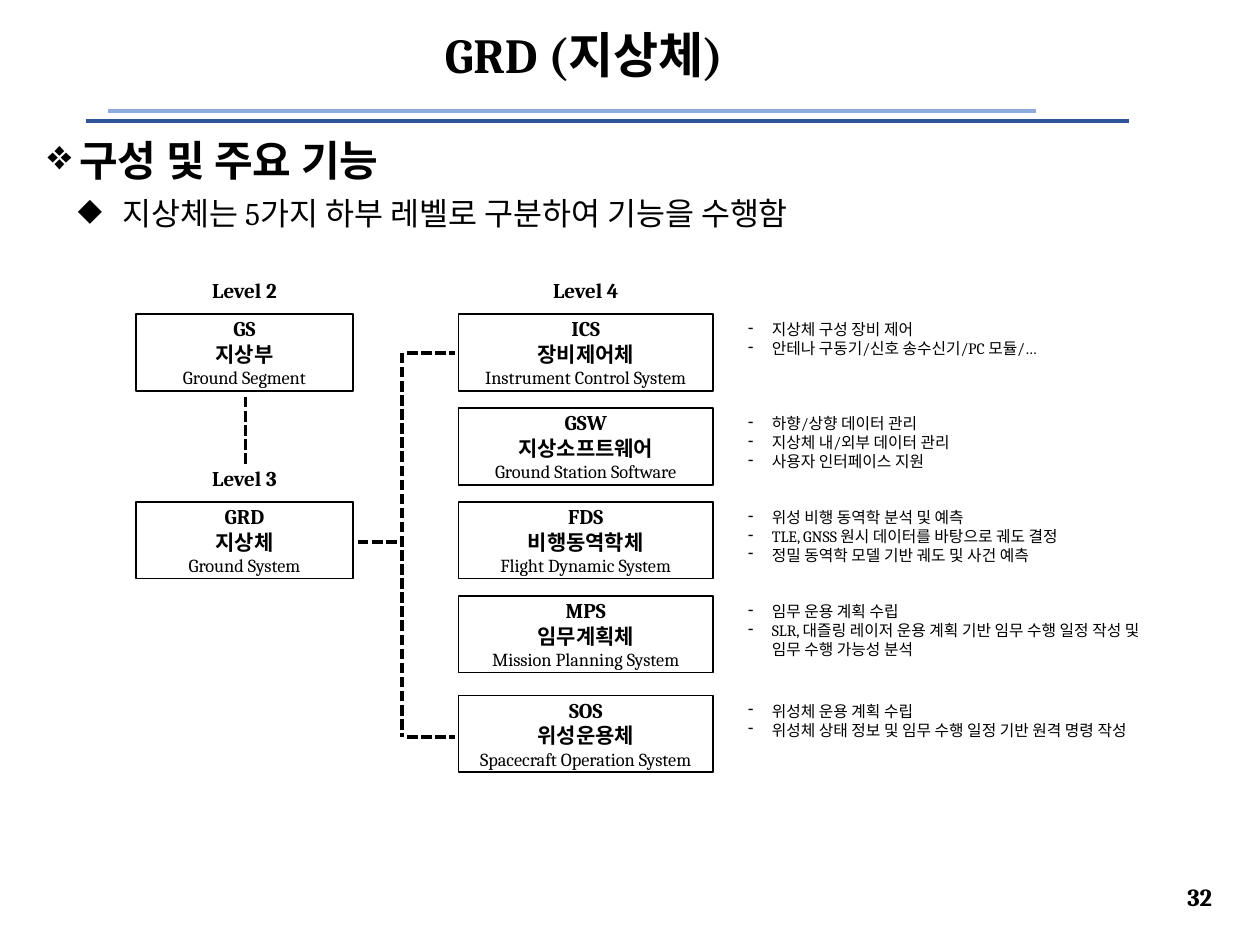
from lxml import etree
from pptx import Presentation
from pptx.dml.color import RGBColor
from pptx.enum.dml import MSO_LINE
from pptx.enum.shapes import MSO_CONNECTOR, MSO_SHAPE
from pptx.enum.text import MSO_ANCHOR, PP_ALIGN
from pptx.oxml.ns import qn
from pptx.util import Pt

BLACK = RGBColor(0x00, 0x00, 0x00)
WHITE = RGBColor(0xFF, 0xFF, 0xFF)
DARK_BLUE = RGBColor(0x2F, 0x55, 0x97)
LIGHT_BLUE = RGBColor(0x8F, 0xAA, 0xDC)
LEFT, CENTER, RIGHT = PP_ALIGN.LEFT, PP_ALIGN.CENTER, PP_ALIGN.RIGHT
TOP, MIDDLE = MSO_ANCHOR.TOP, MSO_ANCHOR.MIDDLE
STRAIGHT = MSO_CONNECTOR.STRAIGHT
DASH = MSO_LINE.SQUARE_DOT

prs = Presentation()
prs.slide_width, prs.slide_height = Pt(720), Pt(540)
slide = prs.slides.add_slide(prs.slide_layouts[6])
shapes = slide.shapes


def write(shape, lines, align=LEFT, anchor=TOP):
    """Fill a shape with lines of (text, size, bold[, bullet, margin, indent])."""
    frame = shape.text_frame
    frame.word_wrap = True
    frame.vertical_anchor = anchor
    for i, (text, size, bold, *bullet) in enumerate(lines):
        paragraph = frame.paragraphs[0] if i == 0 else frame.add_paragraph()
        paragraph.text = text
        paragraph.alignment = align
        if bullet:
            mark, margin, indent = bullet
            props = paragraph._p.get_or_add_pPr()
            props.set("marL", str(Pt(margin)))
            props.set("indent", str(Pt(indent)))
            etree.SubElement(props, qn("a:buChar")).set("char", mark)
        paragraph.font.name = "Cambria"
        paragraph.font.size = Pt(size)
        paragraph.font.bold = bold
        paragraph.font.color.rgb = BLACK
    return frame


def rule(x1, y1, x2, y2, color, width, dash=None):
    line = shapes.add_connector(STRAIGHT, Pt(x1), Pt(y1), Pt(x2), Pt(y2))
    line.line.color.rgb = color
    line.line.width = Pt(width)
    if dash:
        line.line.dash_style = dash
    etree.SubElement(line._element.spPr, qn("a:effectLst"))


# Double rule under the title
rule(49, 69.1, 645, 69.1, DARK_BLUE, 2.25)
rule(61.5, 63.4, 591.8, 63.4, LIGHT_BLUE, 2.25)

# Page number, title and heading
page_number = shapes.add_textbox(Pt(622.8), Pt(498.2), Pt(77), Pt(28))
write(page_number, [("32", 14, True)], RIGHT, MIDDLE)

title = shapes.add_textbox(Pt(69.8), Pt(5.8), Pt(527.8), Pt(54))
write(title, [("GRD (지상체)", 28, True)], CENTER, MIDDLE).paragraphs[0].line_spacing = 0.9

heading = shapes.add_textbox(Pt(20.2), Pt(73.4), Pt(679.7), Pt(423.4))
heading_text = write(heading, [
    ("구성 및 주요 기능", 24, True, "❖", 18, -28),
    ("지상체는 5가지 하부 레벨로 구분하여 기능을 수행함", 18, False, "◆", 42.5, -25.2),
])
heading_text.paragraphs[1].space_before = Pt(5)

# Diagram grid: rows are the tops of the boxes
ROWS = [179.3, 233, 286.7, 340.4, 397.4]
BOX_HEIGHT = 44
SEGMENT_LEFT, SEGMENT_WIDTH = 77.8, 123.8
SUBSYSTEM_LEFT, SUBSYSTEM_WIDTH = 262, 145.4
NOTES_LEFT = 420.5

# Level labels, a fixed distance above their boxes
for level, left, top in [("Level 2", SEGMENT_LEFT, ROWS[0]),
                         ("Level 3", SEGMENT_LEFT, ROWS[2]),
                         ("Level 4", 272.9, ROWS[0])]:
    label = shapes.add_textbox(Pt(left), Pt(top - 35.3), Pt(SEGMENT_WIDTH), Pt(BOX_HEIGHT))
    write(label, [(level, 12, True)], CENTER, MIDDLE)

# System boxes: column, row, abbreviation, Korean name, English name
segment = (SEGMENT_LEFT, SEGMENT_WIDTH)
subsystem = (SUBSYSTEM_LEFT, SUBSYSTEM_WIDTH)
systems = [
    (segment, 0, "GS", "지상부", "Ground Segment"),
    (segment, 2, "GRD", "지상체", "Ground System"),
    (subsystem, 0, "ICS", "장비제어체", "Instrument Control System"),
    (subsystem, 1, "GSW", "지상소프트웨어", "Ground Station Software"),
    (subsystem, 2, "FDS", "비행동역학체", "Flight Dynamic System"),
    (subsystem, 3, "MPS", "임무계획체", "Mission Planning System"),
    (subsystem, 4, "SOS", "위성운용체", "Spacecraft Operation System"),
]
for (left, width), row, abbreviation, korean, english in systems:
    box = shapes.add_shape(MSO_SHAPE.RECTANGLE, Pt(left), Pt(ROWS[row]),
                           Pt(width), Pt(BOX_HEIGHT))
    box.shadow.inherit = False
    box.fill.solid()
    box.fill.fore_color.rgb = WHITE
    box.line.color.rgb = BLACK
    box.line.width = Pt(1)
    write(box, [(abbreviation, 12, True), (korean, 12, True), (english, 10.5, False)],
          CENTER, MIDDLE)

# Dashed tree
SPINE, BRANCH_START, BRANCH_END = 229.7, 232.6, 259.9
TREE_TOP, TREE_BOTTOM, TRUNK_Y = 201.6, 421.2, 309.6
for ends in [(140.4, 226.8, 140.4, 265),
             (SPINE, TREE_TOP, SPINE, TREE_BOTTOM),
             (BRANCH_START, TREE_TOP, BRANCH_END, TREE_TOP),
             (BRANCH_START, TREE_BOTTOM, BRANCH_END, TREE_BOTTOM),
             (204.5, TRUNK_Y, SPINE, TRUNK_Y)]:
    rule(*ends, BLACK, 2, DASH)

# Functions of each subsystem, beside its box
functions = [
    (221, ["지상체 구성 장비 제어", "안테나 구동기/신호 송수신기/PC 모듈/…"]),
    (221, ["하향/상향 데이터 관리", "지상체 내/외부 데이터 관리", "사용자 인터페이스 지원"]),
    (221, ["위성 비행 동역학 분석 및 예측", "TLE, GNSS 원시 데이터를 바탕으로 궤도 결정",
           "정밀 동역학 모델 기반 궤도 및 사건 예측"]),
    (247.7, ["임무 운용 계획 수립",
             "SLR, 대즐링 레이저 운용 계획 기반 임무 수행 일정 작성 및 임무 수행 가능성 분석"]),
    (254.9, ["위성체 운용 계획 수립", "위성체 상태 정보 및 임무 수행 일정 기반 원격 명령 작성"]),
]
for top, (width, items) in zip(ROWS, functions):
    notes = shapes.add_textbox(Pt(NOTES_LEFT), Pt(top), Pt(width), Pt(40))
    write(notes, [(item, 9, False, "-", 13.5, -13.5) for item in items])

prs.save("out.pptx")
